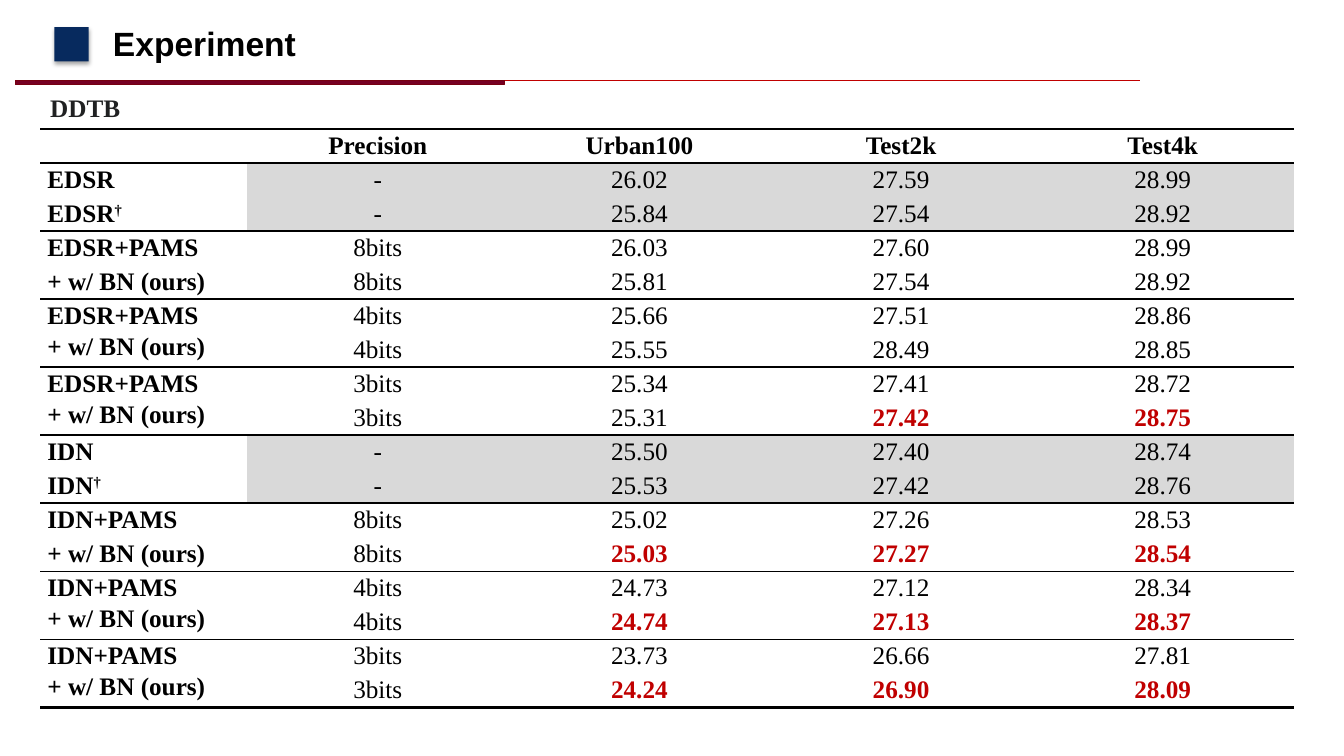
from dataclasses import dataclass

from lxml import etree
from pptx import Presentation
from pptx.dml.color import RGBColor as RGB
from pptx.enum.shapes import MSO_CONNECTOR as CONNECTOR, MSO_SHAPE as SHAPE
from pptx.enum.text import MSO_ANCHOR as ANCHOR, PP_ALIGN as ALIGN
from pptx.oxml import parse_xml
from pptx.oxml.ns import nsdecls, qn
from pptx.util import Inches, Pt


@dataclass(frozen=True)
class Theme:
    ink: RGB = RGB(0, 0, 0)
    caption: RGB = RGB(0x20, 0x21, 0x22)
    accent: RGB = RGB(0xC0, 0, 0)
    band: RGB = RGB(0x76, 0, 0x23)
    band_edge: RGB = RGB(0x77, 0, 0x10)
    navy: RGB = RGB(0x07, 0x2A, 0x5E)
    shade: RGB = RGB(0xD9, 0xD9, 0xD9)
    heading_font: str = "Arial"
    body_font: str = "Times New Roman"
    heading_size: float = 24
    body_size: float = 18
    thin: float = 1
    thick: float = 2.25


THEME = Theme()
NO_STYLE_NO_GRID = "{2D5ABB26-0587-4C30-8999-92F81FD0307C}"
OURS = "+ w/ BN (ours)"
RESULTS = [
    ("", "Precision", "Urban100", "Test2k", "Test4k"),
    ("EDSR", "-", "26.02", "27.59", "28.99"),
    ("EDSR†", "-", "25.84", "27.54", "28.92"),
    ("EDSR+PAMS", "8bits", "26.03", "27.60", "28.99"),
    (OURS, "8bits", "25.81", "27.54", "28.92"),
    ("EDSR+PAMS", "4bits", "25.66", "27.51", "28.86"),
    (OURS, "4bits", "25.55", "28.49", "28.85"),
    ("EDSR+PAMS", "3bits", "25.34", "27.41", "28.72"),
    (OURS, "3bits", "25.31", "27.42", "28.75"),
    ("IDN", "-", "25.50", "27.40", "28.74"),
    ("IDN†", "-", "25.53", "27.42", "28.76"),
    ("IDN+PAMS", "8bits", "25.02", "27.26", "28.53"),
    (OURS, "8bits", "25.03", "27.27", "28.54"),
    ("IDN+PAMS", "4bits", "24.73", "27.12", "28.34"),
    (OURS, "4bits", "24.74", "27.13", "28.37"),
    ("IDN+PAMS", "3bits", "23.73", "26.66", "27.81"),
    (OURS, "3bits", "24.24", "26.90", "28.09"),
]
FIRST_BEST_COLUMN = {8: 3, 12: 2, 14: 2, 16: 2}
RULES_BELOW = {row: THEME.thin for row in (0, 4, 6, 12, 14)}
RULES_BELOW |= {row: THEME.thick for row in (-1, 2, 8, 10, 16)}


def style_run(run, font, size, color, bold=True):
    run.font.name = font
    run.font.size = Pt(size)
    run.font.color.rgb = color
    run.font.bold = bold


def add_header(slide, left, top, width):
    rule_top = top + Inches(0.62)
    rule = slide.shapes.add_connector(
        CONNECTOR.STRAIGHT, left, rule_top, left + width, rule_top)
    rule.line.color.rgb = THEME.accent
    rule.line.width = Pt(THEME.thin)
    etree.SubElement(rule._element.spPr, qn("a:effectLst"))

    band = slide.shapes.add_shape(
        SHAPE.RECTANGLE, left, rule_top, Inches(4.85), Inches(0.04))
    band.shadow.inherit = False
    band.fill.solid()
    band.fill.fore_color.rgb = THEME.band
    band.line.color.rgb = THEME.band_edge
    band.line.width = Pt(0.75)

    marker = slide.shapes.add_shape(
        SHAPE.RECTANGLE, left + Inches(0.39), top + Inches(0.09),
        Inches(0.34), Inches(0.34))
    marker.fill.solid()
    marker.fill.fore_color.rgb = THEME.navy
    marker.line.fill.background()
    marker._element.spPr.append(parse_xml(
        f'<a:effectLst {nsdecls("a")}><a:outerShdw blurRad="{Pt(3.1)}" '
        f'dist="{Pt(1.8)}" dir="5400000" rotWithShape="0"><a:srgbClr '
        'val="000000"><a:alpha val="35000"/></a:srgbClr></a:outerShdw>'
        '</a:effectLst>'))

    title = slide.shapes.title
    title.left, title.top = left + Inches(0.87), top
    title.width, title.height = Inches(3.09), Inches(0.5)
    title.text_frame.text = "Experiment"
    title.text_frame.vertical_anchor = ANCHOR.MIDDLE
    heading = title.text_frame.paragraphs[0]
    heading.alignment = ALIGN.LEFT
    style_run(heading.runs[0], THEME.heading_font, THEME.heading_size, THEME.ink)


def add_caption(slide, left, top, width, height):
    caption = slide.shapes.add_textbox(left, top, width, height).text_frame
    caption.word_wrap = True
    caption.text = "DDTB"
    style_run(caption.paragraphs[0].runs[0], THEME.body_font,
              THEME.body_size, THEME.caption)


def draw_rule(cell, side, width):
    fill = (f'<a:solidFill><a:srgbClr val="{THEME.ink}"/></a:solidFill>'
            if width else "<a:noFill/>")
    cell._tc.get_or_add_tcPr().append(parse_xml(
        f'<a:{side} {nsdecls("a")} w="{Pt(width)}">{fill}</a:{side}>'))


def fill_cell(cell, text, row, column):
    is_name = column == 0
    is_best = column >= FIRST_BEST_COLUMN.get(row, len(RESULTS[0]))
    cell.margin_left = cell.margin_right = Inches(0.07)
    cell.margin_top = cell.margin_bottom = 0
    raised = is_name and text == OURS and RESULTS[row][1] != "8bits"
    cell.vertical_anchor = ANCHOR.TOP if raised else ANCHOR.MIDDLE
    draw_rule(cell, "lnT", RULES_BELOW.get(row - 1, 0))
    draw_rule(cell, "lnB", RULES_BELOW.get(row, 0))
    if RESULTS[row][1] == "-" and not is_name:
        cell.fill.solid()
        cell.fill.fore_color.rgb = THEME.shade
    else:
        cell.fill.background()

    name = text.removesuffix("†")
    cell.text_frame.text = name
    entry = cell.text_frame.paragraphs[0]
    entry.alignment = ALIGN.JUSTIFY if is_name else ALIGN.CENTER
    if name != text:
        dagger = entry.add_run()
        dagger.text = "†"
        dagger.font._element.set("baseline", "30000")
    for run in entry.runs:
        style_run(run, THEME.body_font, THEME.body_size,
                  THEME.accent if is_best else THEME.ink,
                  is_name or row == 0 or is_best)


def add_results(slide, left, top, width, height):
    results = slide.shapes.add_table(
        len(RESULTS), len(RESULTS[0]), left, top, width, height).table
    results.first_row = results.horz_banding = False
    results._tbl.tblPr.find(qn("a:tableStyleId")).text = NO_STYLE_NO_GRID
    name_width = Inches(2.05)
    results.columns[0].width = name_width
    for column in range(1, len(RESULTS[0])):
        results.columns[column].width = (width - name_width) // 4
    for row, entries in enumerate(RESULTS):
        for column, text in enumerate(entries):
            fill_cell(results.cell(row, column), text, row, column)


def main():
    deck = Presentation()
    deck.slide_width, deck.slide_height = Inches(13.33), Inches(7.5)
    slide = deck.slides.add_slide(deck.slide_layouts[5])
    add_header(slide, Inches(0.15), Inches(0.18), Inches(11.16))
    add_results(slide, Inches(0.4), Inches(1.28), Inches(12.43), Inches(5.74))
    add_caption(slide, Inches(0.4), Inches(0.87), Inches(6.67), Inches(0.4))
    deck.save("out.pptx")


if __name__ == "__main__":
    main()
